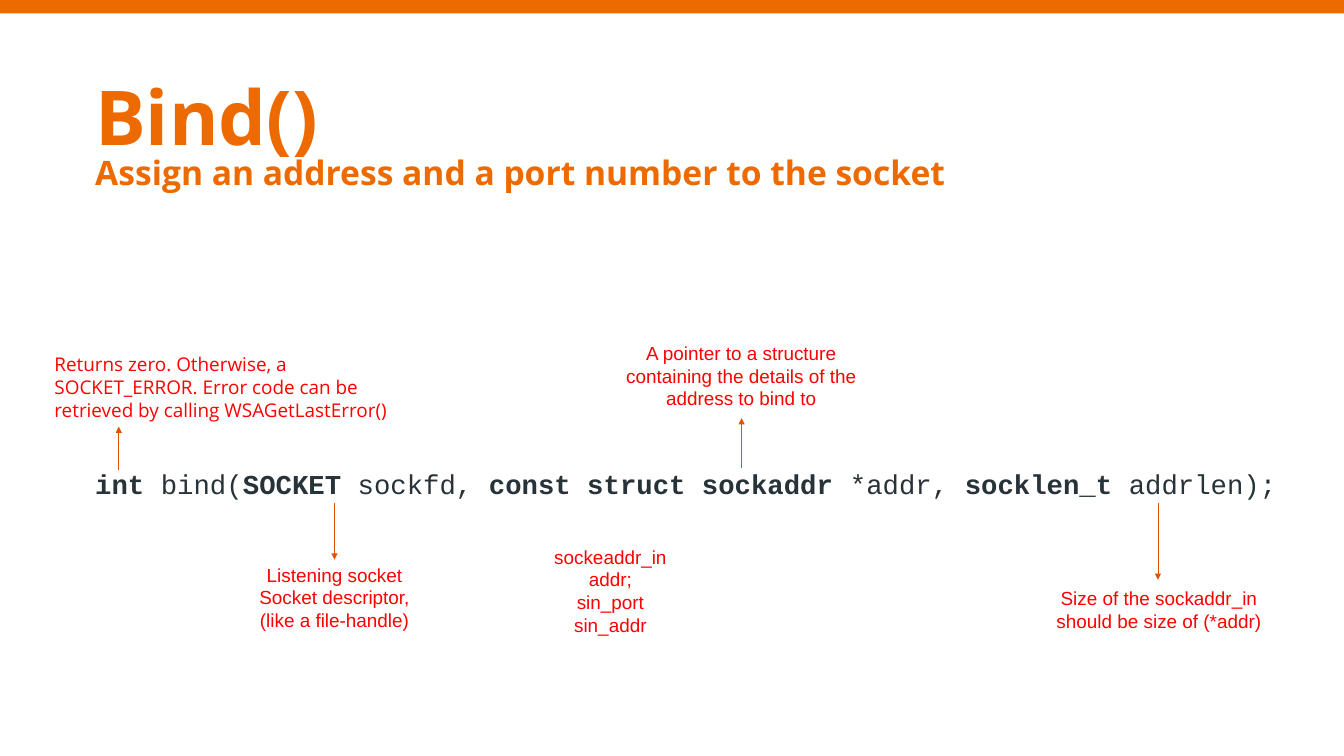
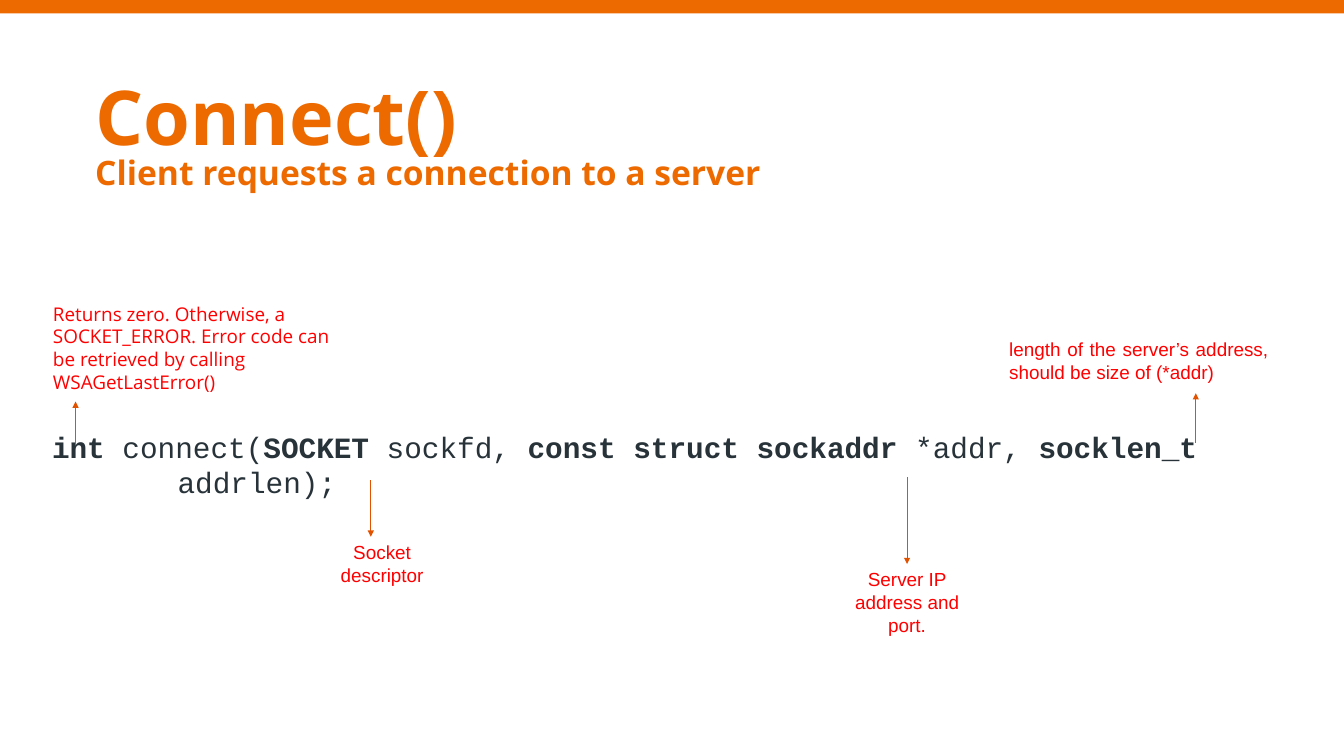
from dataclasses import dataclass

from lxml.etree import SubElement
from pptx import Presentation
from pptx.dml.color import RGBColor
from pptx.enum.shapes import MSO_CONNECTOR, MSO_SHAPE
from pptx.enum.text import MSO_ANCHOR, MSO_AUTO_SIZE, PP_ALIGN
from pptx.oxml.ns import qn
from pptx.util import Cm, Pt


@dataclass(frozen=True)
class Theme:
    orange: RGBColor = RGBColor.from_string("ED6A00")
    arrow: RGBColor = RGBColor.from_string("E15200")
    red: RGBColor = RGBColor.from_string("FF0000")
    ink: RGBColor = RGBColor.from_string("273239")
    white: RGBColor = RGBColor.from_string("FFFFFF")
    heading_font: str = "Open Sans"
    note_font: str = "Arial"
    code_font: str = "Courier New"
    title_size: int = 72
    subtitle_size: int = 32
    note_size: int = 18
    leading: float = 1.2


THEME = Theme()
WIDTH, HEIGHT = 45.16, 25.4
BAR_BOX = (-0.03, -0.03, 45.24, 0.48)
TITLE_BOX = (3.2, 2.34, 38.71, 4.72)

# Content: boxes are left, top, width, height in cm; arrows are x, start y, end y.
# Signature parts alternate between bold types and regular names.
RETURNS = ["Returns zero. Otherwise, a SOCKET_ERROR. Error code can be "
           "retrieved by calling WSAGetLastError()"]
RETURN_STYLE = {"align": PP_ALIGN.LEFT, "font": THEME.heading_font}

FUNCTIONS = [
    {
        "title": "Bind()",
        "subtitle": "Assign an address and a port number to the socket",
        "signature": ["int", " bind(", "SOCKET", " sockfd, ",
                      "const struct sockaddr ", "*addr, ", "socklen_t", " addrlen);"],
        "signature_box": (3.2, 15.57, 40.94, 1.37),
        "signature_size": 26,
        "notes": [
            {"lines": ["A pointer to a structure containing the details of the address to bind to"],
             "box": (20.32, 11.35, 9.17, 2.59), "arrow": (24.92, 15.72, 14.05)},
            {"lines": ["Listening socket", "Socket descriptor, (like a file-handle)"],
             "box": (8.56, 18.8, 5.36, 2.59), "arrow": (11.24, 16.89, 18.8)},
            {"lines": ["Size of the sockaddr_in", "should be size of (*addr)"],
             "box": (35.31, 19.58, 7.26, 1.8), "arrow": (38.91, 16.89, 19.48)},
            {"lines": RETURNS, "box": (1.7, 11.73, 11.71, 2.59),
             "arrow": (3.99, 15.8, 14.33), **RETURN_STYLE},
            {"lines": ["sockeaddr_in addr;", "sin_port", "sin_addr"],
             "box": (17.83, 18.19, 5.36, 3.35)},
        ],
    },
    {
        "title": "Connect()",
        "subtitle": "Client requests a connection to a server",
        "signature": ["int", " connect(", "SOCKET", " sockfd, ",
                      "const struct sockaddr ", "*addr, ", "socklen_t", " addrlen);"],
        "signature_box": (1.75, 14.27, 43.21, 2.64),
        "signature_size": 28,
        "notes": [
            {"lines": ["Server IP address and port."],
             "box": (28.04, 18.95, 4.88, 2.59), "arrow": (30.48, 16.03, 18.95)},
            {"lines": ["length of the server’s address, should be size of (*addr)"],
             "box": (33.78, 11.23, 8.97, 1.8), "arrow": (40.18, 14.88, 13.21),
             "align": PP_ALIGN.JUSTIFY},
            {"lines": ["Socket", "descriptor"],
             "box": (11.15, 18.03, 3.38, 1.8), "arrow": (12.46, 16.13, 18.03)},
            {"lines": RETURNS, "box": (1.65, 10.03, 9.7, 3.35),
             "arrow": (2.54, 14.94, 13.49), **RETURN_STYLE},
        ],
    },
]
HANGING_INDENT = 4.22


def lengths(box):
    return [Cm(value) for value in box]


def set_margins(frame, margin):
    frame.margin_left = frame.margin_top = Cm(margin)
    frame.margin_right = frame.margin_bottom = Cm(margin)
    frame.word_wrap = True


def style(paragraph, name, color, size=None, bold=None):
    font = paragraph.font
    font.name, font.bold, font.color.rgb = name, bold, color
    if size:
        font.size = Pt(size)
        paragraph.line_spacing = Pt(size * THEME.leading)


def add_bar(slide, layout):
    """Draw the top band once, then hand it to the shared layout."""
    bar = slide.shapes.add_shape(MSO_SHAPE.RECTANGLE, *lengths(BAR_BOX))
    bar.shadow.inherit = False
    bar.fill.solid()
    bar.fill.fore_color.rgb = THEME.orange
    bar.line.fill.background()
    layout.shapes.element.insert(2, bar.element)


def set_title(slide, title, subtitle):
    heading = slide.shapes.title
    heading.left, heading.top, heading.width, heading.height = lengths(TITLE_BOX)
    frame = heading.text_frame
    set_margins(frame, 0)
    frame.auto_size = MSO_AUTO_SIZE.NONE
    frame.vertical_anchor = MSO_ANCHOR.MIDDLE
    paragraph = frame.paragraphs[0]
    paragraph.alignment = PP_ALIGN.LEFT
    paragraph.line_spacing = 0.8
    style(paragraph, THEME.heading_font, THEME.orange, bold=True)
    name = paragraph.add_run()
    name.text, name.font.size = title, Pt(THEME.title_size)
    paragraph.add_line_break()
    purpose = paragraph.add_run()
    purpose.text, purpose.font.size = subtitle, Pt(THEME.subtitle_size)


def add_signature(slide, parts, box, size):
    signature = slide.shapes.add_textbox(*lengths(box))
    signature.fill.solid()
    signature.fill.fore_color.rgb = THEME.white
    frame = signature.text_frame
    set_margins(frame, 0)
    frame.vertical_anchor = MSO_ANCHOR.MIDDLE
    paragraph = frame.paragraphs[0]
    indent = Cm(HANGING_INDENT)
    properties = paragraph._p.get_or_add_pPr()
    properties.set("marL", str(indent))
    properties.set("indent", str(-indent))
    style(paragraph, THEME.code_font, THEME.ink, size)
    for index, part in enumerate(parts):
        run = paragraph.add_run()
        run.text, run.font.bold = part, index % 2 == 0


def add_note(slide, lines, box, arrow=None, align=PP_ALIGN.CENTER, font=THEME.note_font):
    note = slide.shapes.add_textbox(*lengths(box))
    frame = note.text_frame
    set_margins(frame, 0.13)
    frame.auto_size = MSO_AUTO_SIZE.SHAPE_TO_FIT_TEXT
    for index, line in enumerate(lines):
        paragraph = frame.add_paragraph() if index else frame.paragraphs[0]
        paragraph.text = line
        paragraph.alignment = align
        style(paragraph, font, THEME.red, THEME.note_size)
    if arrow:
        add_arrow(slide, note, box, *arrow)


def add_arrow(slide, note, box, x, start, end):
    arrow = slide.shapes.add_connector(
        MSO_CONNECTOR.STRAIGHT, *lengths((x, start, x, end)))
    arrow.line.color.rgb = THEME.arrow
    arrow.line.width = Pt(0.75)
    SubElement(arrow.line._get_or_add_ln(), qn("a:tailEnd"), type="triangle")
    SubElement(arrow.element.spPr, qn("a:effectLst"))
    # Join arrows that meet the middle of the note's top side
    left, top, width, _ = box
    if abs(left + width / 2 - x) < 0.02 and abs(top - end) < 0.02:
        arrow.end_connect(note, 0)


def main():
    deck = Presentation()
    deck.slide_width, deck.slide_height = Cm(WIDTH), Cm(HEIGHT)
    layout = deck.slide_layouts.get_by_name("Title Only")
    for number, function in enumerate(FUNCTIONS):
        slide = deck.slides.add_slide(layout)
        if number == 0:
            add_bar(slide, layout)
        set_title(slide, function["title"], function["subtitle"])
        add_signature(slide, function["signature"], function["signature_box"],
                      function["signature_size"])
        for note in function["notes"]:
            add_note(slide, **note)
    deck.save("out.pptx")


if __name__ == "__main__":
    main()
